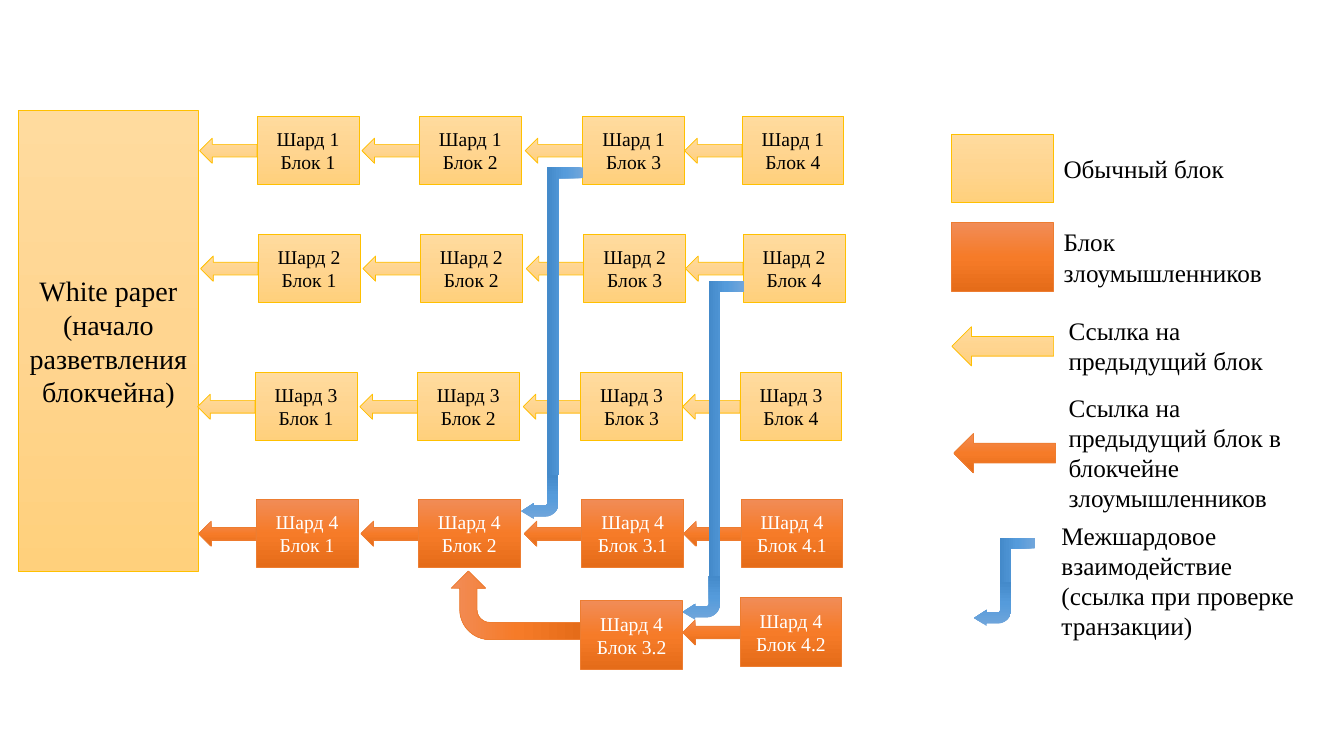
"""Build a slide showing a sharded blockchain with a fork made by attackers."""
import copy

import pptx
import pptx.util
import pptx.dml.color
import pptx.enum.shapes
import pptx.enum.text
import pptx.oxml.ns

Inches = pptx.util.Inches
SHAPE = pptx.enum.shapes.MSO_SHAPE
FONT = "Times New Roman"
COLOURS = {
    "normal": ["FFDB9E", "FFD590", "FFD07C"],
    "attack": ["F18C57", "F67B28", "E56C19"],
    "cross": ["71A6DB", "559BDB", "448ACA"],
    "line": {"normal": "FFC000", "attack": "ED7D31"},
    "text": {"normal": "000000", "attack": "FFFFFF"},
}
BLOCK = (1.01, 0.68)
LINK = (0.57, 0.25)
LINK_DROP = 0.22

deck = pptx.Presentation()
deck.slide_width, deck.slide_height = Inches(13.33), Inches(7.5)
page = deck.slides.add_slide(deck.slide_layouts[6])


def add_figure(kind, place, style, rotation=0, adjustments=()):
    """Add a gradient-filled shape in one of the slide's styles."""
    figure = page.shapes.add_shape(kind, *map(Inches, place))
    figure.shadow.inherit = False
    figure.rotation = rotation
    for index, value in enumerate(adjustments):
        figure.adjustments[index] = value
    figure.fill.gradient()
    figure.fill.gradient_angle = 270
    stop_list = figure._element.spPr.find(".//" + pptx.oxml.ns.qn("a:gsLst"))
    stop_list.insert(1, copy.deepcopy(stop_list[0]))
    for stop, position, colour in zip(figure.fill.gradient_stops, (0, 0.5, 1), COLOURS[style]):
        stop.position = position
        stop.color.rgb = pptx.dml.color.RGBColor.from_string(colour)
    if style in COLOURS["line"]:
        figure.line.color.rgb = pptx.dml.color.RGBColor.from_string(COLOURS["line"][style])
        figure.line.width = pptx.util.Pt(0.5)
    else:
        figure.line.fill.background()
    return figure


def write_text(box, lines, size, colour, alignment):
    """Fill a shape with one paragraph per line."""
    frame = box.text_frame
    frame.word_wrap = True
    frame.text = "\n".join(lines)
    for para in frame.paragraphs:
        para.alignment = alignment
        para.font.name = FONT
        para.font.size = pptx.util.Pt(size)
        para.font.color.rgb = pptx.dml.color.RGBColor.from_string(colour)


CENTER = pptx.enum.text.PP_ALIGN.CENTER
LEFT = pptx.enum.text.PP_ALIGN.LEFT

root = add_figure(SHAPE.RECTANGLE, (0.18, 1.1, 1.79, 4.57), "normal")
write_text(root, ["White paper", "(начало разветвления блокчейна)"], 20, "000000", CENTER)

column_offsets = [0, 1.61, 3.23, 4.81]
shard_rows = [
    (1, 2.55, 1.15, "normal", ["1", "2", "3", "4"]),
    (2, 2.56, 2.32, "normal", ["1", "2", "3", "4"]),
    (3, 2.53, 3.69, "normal", ["1", "2", "3", "4"]),
    (4, 2.54, 4.95, "attack", ["1", "2", "3.1", "4.1"]),
]
blocks = [
    (shard, left + offset, top, style, number)
    for shard, left, top, style, numbers in shard_rows
    for offset, number in zip(column_offsets, numbers)
]
blocks += [(4, 5.76, 5.96, "attack", "3.2"), (4, 7.34, 5.93, "attack", "4.2")]

for shard, left, top, style, number in blocks:
    if number == "3.2":
        add_figure(SHAPE.BENT_ARROW, (4.78, 5.36, 0.68, 1.29), style, 270)
    else:
        add_figure(SHAPE.LEFT_ARROW, (left - LINK[0], top + LINK_DROP, *LINK), style)
    block = add_figure(SHAPE.RECTANGLE, (left, top, *BLOCK), style)
    write_text(block, [f"Шард {shard}", f"Блок {number}"], 14, COLOURS["text"][style], CENTER)

cross_links = [
    ((4.08, 3.01, 3.05, 0.35), (5.17, 4.71)),
    ((5.74, 4.08, 2.93, 0.35), (6.77, 5.71)),
    ((9.87, 5.38, 0.44, 0.35), (9.66, 5.77)),
]
for stem, head in cross_links:
    add_figure(SHAPE.CORNER, stem, "cross", 90, (0.314, 0.305))
    add_figure(SHAPE.BENT_ARROW, (*head, 0.37, 0.44), "cross", 180, (0.296, 0.215, 0.338, 0.367))

legend_symbols = [
    (SHAPE.RECTANGLE, (9.44, 1.33, *BLOCK), "normal"),
    (SHAPE.RECTANGLE, (9.44, 2.21, *BLOCK), "attack"),
    (SHAPE.LEFT_ARROW, (9.44, 3.24, 1.01, 0.39), "normal"),
    (SHAPE.LEFT_ARROW, (9.46, 4.3, 1.01, 0.39), "attack"),
]
for kind, place, style in legend_symbols:
    add_figure(kind, place, style)

legend_labels = [
    ((10.45, 1.47, 2, 0.4), "Обычный блок"),
    ((10.45, 2.2, 2.27, 0.71), "Блок злоумышленников"),
    ((10.5, 3.08, 2.48, 0.71), "Ссылка на предыдущий блок"),
    ((10.5, 3.84, 2.66, 1.31), "Ссылка на предыдущий блок в блокчейне злоумышленников"),
    ((10.43, 5.11, 2.66, 1.31), "Межшардовое взаимодействие (ссылка при проверке транзакции)"),
]
for place, label in legend_labels:
    box = page.shapes.add_textbox(*map(Inches, place))
    write_text(box, [label], 18, "000000", LEFT)
    box.text_frame.auto_size = pptx.enum.text.MSO_AUTO_SIZE.SHAPE_TO_FIT_TEXT

deck.save("out.pptx")
